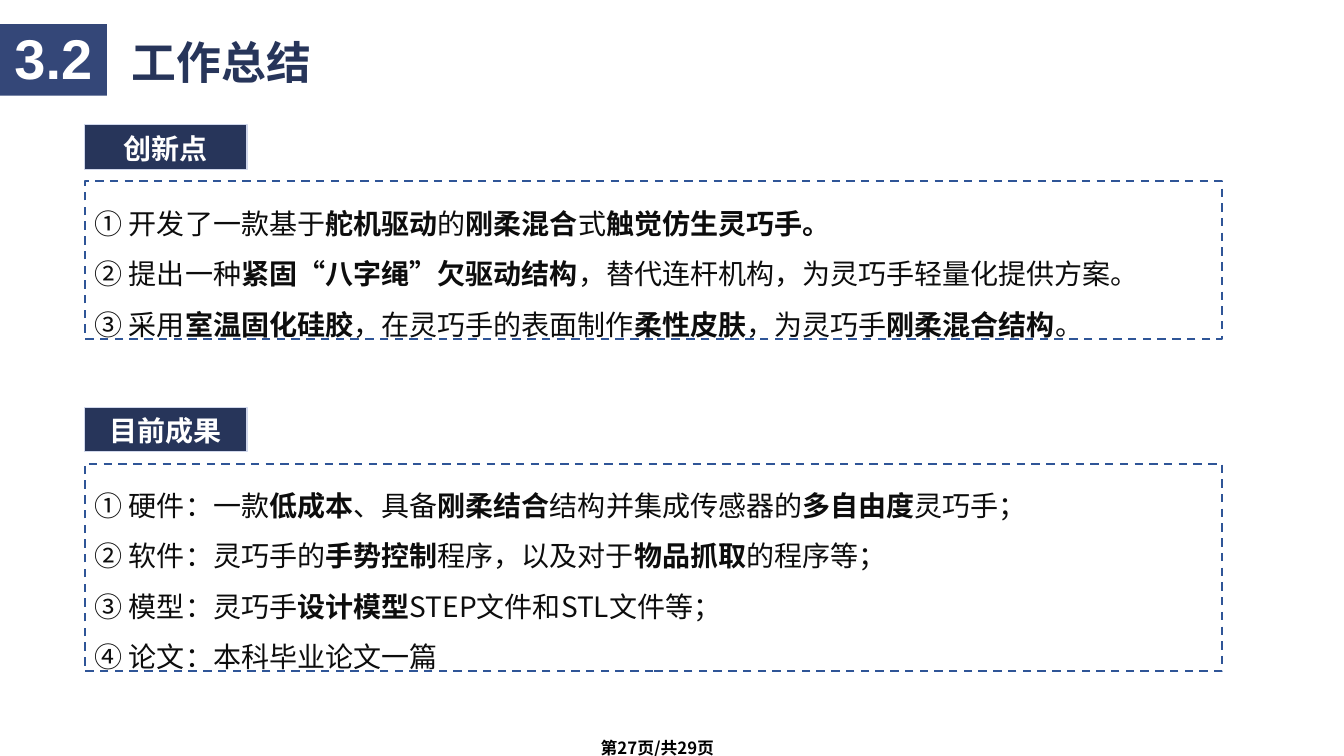
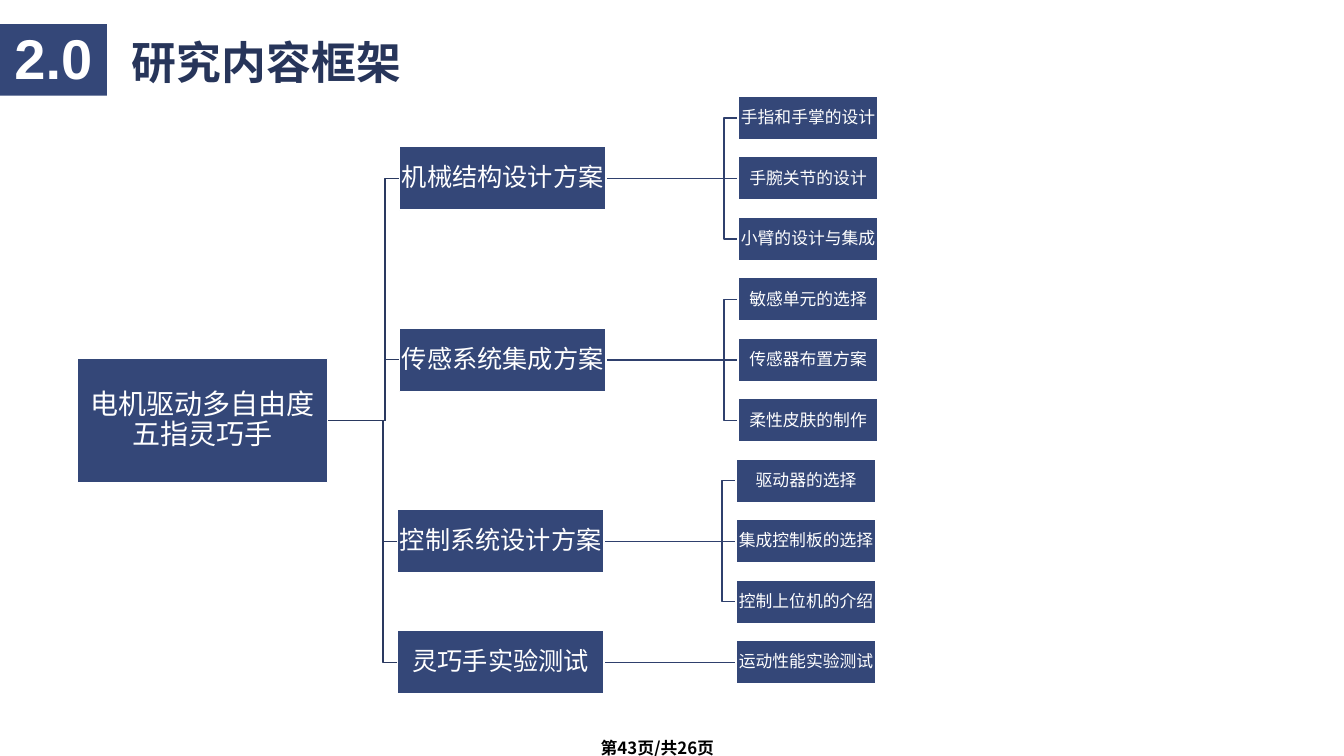
from dataclasses import dataclass

from lxml import etree
from pptx import Presentation
from pptx.dml.color import RGBColor
from pptx.enum.dml import MSO_LINE
from pptx.enum.shapes import MSO_CONNECTOR, MSO_SHAPE
from pptx.enum.text import MSO_ANCHOR, PP_ALIGN
from pptx.oxml.ns import qn
from pptx.util import Inches, Pt

RECTANGLE = MSO_SHAPE.RECTANGLE
STRAIGHT, ELBOW = MSO_CONNECTOR.STRAIGHT, MSO_CONNECTOR.ELBOW
LEFT, CENTER = PP_ALIGN.LEFT, PP_ALIGN.CENTER
TOP, MIDDLE = MSO_ANCHOR.TOP, MSO_ANCHOR.MIDDLE
DASH = MSO_LINE.DASH
LEFT_SITE, RIGHT_SITE = 1, 3


@dataclass(frozen=True)
class Theme:
    font: str = "Noto Sans CJK SC"
    number_font: str = "Arial"
    navy: str = "27355A"
    blue: str = "344778"
    pale_blue: str = "D0D7EB"
    frame_blue: str = "2F5597"
    trunk_line: str = "2A3960"
    leaf_line: str = "2F406D"
    white: str = "FFFFFF"
    black: str = "000000"
    body_text: str = "0D0D0D"
    number_size: int = 40
    title_size: int = 32
    body_size: int = 20
    branch_size: int = 18
    small_size: int = 12
    tight: float = 1.08
    normal: float = 1.25
    loose: float = 1.8


THEME = Theme()

SUMMARY_SECTIONS = [
    ("创新点", 1.24, 1.56, [
        "① 开发了一款基于*舵机驱动*的*刚柔混合*式*触觉仿生灵巧手。*",
        "② 提出一种*紧固“八字绳”欠驱动结构*，替代连杆机构，为灵巧手轻量化提供方案。",
        "③ 采用*室温固化硅胶*，在灵巧手的表面制作*柔性皮肤*，为灵巧手*刚柔混合结构*。",
    ]),
    ("目前成果", 4.04, 2.06, [
        "① 硬件：一款*低成本*、具备*刚柔结合*结构并集成传感器的*多自由度*灵巧手；",
        "② 软件：灵巧手的*手势控制*程序，以及对于*物品抓取*的程序等；",
        "③ 模型：灵巧手*设计模型*STEP文件和STL文件等；",
        "④ 论文：本科毕业论文一篇",
    ]),
]

# Branch label, left edge of the branch, leaf labels
FRAMEWORK = [
    ("机械结构设计方案", 3.96, ["手指和手掌的设计", "手腕关节的设计", "小臂的设计与集成"]),
    ("传感系统集成方案", 3.96, ["敏感单元的选择", "传感器布置方案", "柔性皮肤的制作"]),
    ("控制系统设计方案", 3.94, ["驱动器的选择", "集成控制板的选择", "控制上位机的介绍"]),
    ("灵巧手实验测试", 3.94, ["运动性能实验测试"]),
]
ROOT_LABEL = "电机驱动多自由度五指灵巧手"
ROOT_LEFT = 0.77
LEAF_OFFSET = 3.36
FIRST_LEAF_CENTER = 1.17
LEAF_PITCH = 0.6
BEND_DISTANCE = 0.14


def rgb(value):
    return RGBColor.from_string(value)


def write_text(shape, lines, size, color, bold=False, align=CENTER, anchor=MIDDLE,
               spacing=THEME.normal, font=THEME.font, margins=(0.1, 0.05)):
    """Fill a shape with lines; asterisks switch bold on and off."""
    frame = shape.text_frame
    frame.word_wrap = True
    frame.vertical_anchor = anchor
    frame.margin_left = frame.margin_right = Inches(margins[0])
    frame.margin_top = frame.margin_bottom = Inches(margins[1])
    for index, line in enumerate(lines):
        paragraph = frame.add_paragraph() if index else frame.paragraphs[0]
        paragraph.alignment = align
        paragraph.line_spacing = Pt(size * spacing)
        for position, text in enumerate(line.split("*")):
            if not text:
                continue
            run = paragraph.add_run()
            run.text = text
            run.font.size = Pt(size)
            run.font.bold = bold or position % 2 == 1
            run.font.color.rgb = rgb(color)
            run.font.name = font
            east_asian = etree.SubElement(run.font._element, qn("a:ea"))
            east_asian.set("typeface", font)


def add_text(slide, left, top, width, height, text, size, color, **options):
    box = slide.shapes.add_textbox(
        Inches(left), Inches(top), Inches(width), Inches(height))
    write_text(box, [text], size, color, **options)


def add_box(slide, left, top, width, height, fill=None, line=None, line_width=1):
    shape = slide.shapes.add_shape(
        RECTANGLE, Inches(left), Inches(top), Inches(width), Inches(height))
    shape.shadow.inherit = False
    if fill:
        shape.fill.solid()
        shape.fill.fore_color.rgb = rgb(fill)
    else:
        shape.fill.background()
    if line:
        shape.line.color.rgb = rgb(line)
        shape.line.width = Pt(line_width)
    else:
        shape.line.fill.background()
    return shape


def add_base_slide(presentation, number, title, footer):
    slide = presentation.slides.add_slide(presentation.slide_layouts[6])
    add_text(slide, 1.21, 0.24, 8.68, 0.71, title, THEME.title_size, THEME.navy,
             bold=True, align=LEFT)
    badge = add_box(slide, 0, 0.24, 1.06, 0.71, THEME.blue)
    write_text(badge, [number], THEME.number_size, THEME.white, bold=True,
               spacing=THEME.tight, font=THEME.number_font)
    add_text(slide, 5.02, 7.26, 3, 0.4, footer, THEME.small_size, THEME.black,
             bold=True, anchor=TOP)
    return slide


def add_summary_section(slide, heading, top, height, lines):
    label = add_box(slide, 0.84, top, 1.61, 0.44, THEME.navy, THEME.pale_blue, 0.75)
    write_text(label, [heading], THEME.body_size, THEME.white, bold=True)
    panel = add_box(slide, 0.84, top + 0.56, 11.28, height,
                    line=THEME.frame_blue, line_width=1.5)
    panel.line.dash_style = DASH
    write_text(panel, lines, THEME.body_size, THEME.body_text, align=LEFT,
               anchor=TOP, spacing=THEME.loose, margins=(0.1, 0.08))


def add_node(slide, left, center, width, height, text, size):
    node = add_box(slide, left, center - height / 2, width, height,
                   THEME.blue, THEME.white)
    write_text(node, [text], size, THEME.white, spacing=THEME.tight,
               margins=(0.01, 0.01))
    return node


def connect_nodes(slide, parent, child, color):
    """Join two nodes from behind, bending at a fixed distance before the child."""
    rise = child.top + child.height // 2 - parent.top - parent.height // 2
    level = abs(rise) < Inches(0.01)
    connector = slide.shapes.add_connector(STRAIGHT if level else ELBOW, 0, 0, 0, 0)
    connector.begin_connect(parent, RIGHT_SITE)
    connector.end_connect(child, LEFT_SITE)
    connector.line.color.rgb = rgb(color)
    connector.line.width = Pt(1)
    properties = connector._element.spPr
    etree.SubElement(properties, qn("a:effectLst"))
    if not level:
        geometry = properties.find(qn("a:prstGeom"))
        adjustments = geometry.find(qn("a:avLst"))
        if adjustments is None:
            adjustments = etree.SubElement(geometry, qn("a:avLst"))
        bend = 1 - Inches(BEND_DISTANCE) / connector.width
        etree.SubElement(adjustments, qn("a:gd"), name="adj1",
                         fmla=f"val {round(bend * 100000)}")
    parent._element.addprevious(connector._element)


def add_framework(slide):
    leaf_count = sum(len(leaves) for _, _, leaves in FRAMEWORK)
    centers = [FIRST_LEAF_CENTER + LEAF_PITCH * row for row in range(leaf_count)]
    branch_centers = []
    row = 0
    for _, _, leaves in FRAMEWORK:
        branch_centers.append((centers[row] + centers[row + len(leaves) - 1]) / 2)
        row += len(leaves)

    root_center = (branch_centers[0] + branch_centers[-1]) / 2
    root = add_node(slide, ROOT_LEFT, root_center, 2.48, 1.23, ROOT_LABEL,
                    THEME.body_size)
    remaining_centers = iter(centers)
    for (label, left, leaves), center in zip(FRAMEWORK, branch_centers):
        branch = add_node(slide, left, center, 2.05, 0.63, label, THEME.branch_size)
        connect_nodes(slide, root, branch, THEME.trunk_line)
        for leaf_label in leaves:
            leaf = add_node(slide, left + LEAF_OFFSET, next(remaining_centers),
                            1.39, 0.43, leaf_label, THEME.small_size)
            connect_nodes(slide, branch, leaf, THEME.leaf_line)


def main():
    presentation = Presentation()
    presentation.slide_width = Inches(13.33)
    presentation.slide_height = Inches(7.5)

    summary = add_base_slide(presentation, "3.2", "工作总结", "第27页/共29页")
    for section in SUMMARY_SECTIONS:
        add_summary_section(summary, *section)

    framework = add_base_slide(presentation, "2.0", "研究内容框架", "第43页/共26页")
    add_framework(framework)

    presentation.save("out.pptx")


if __name__ == "__main__":
    main()
